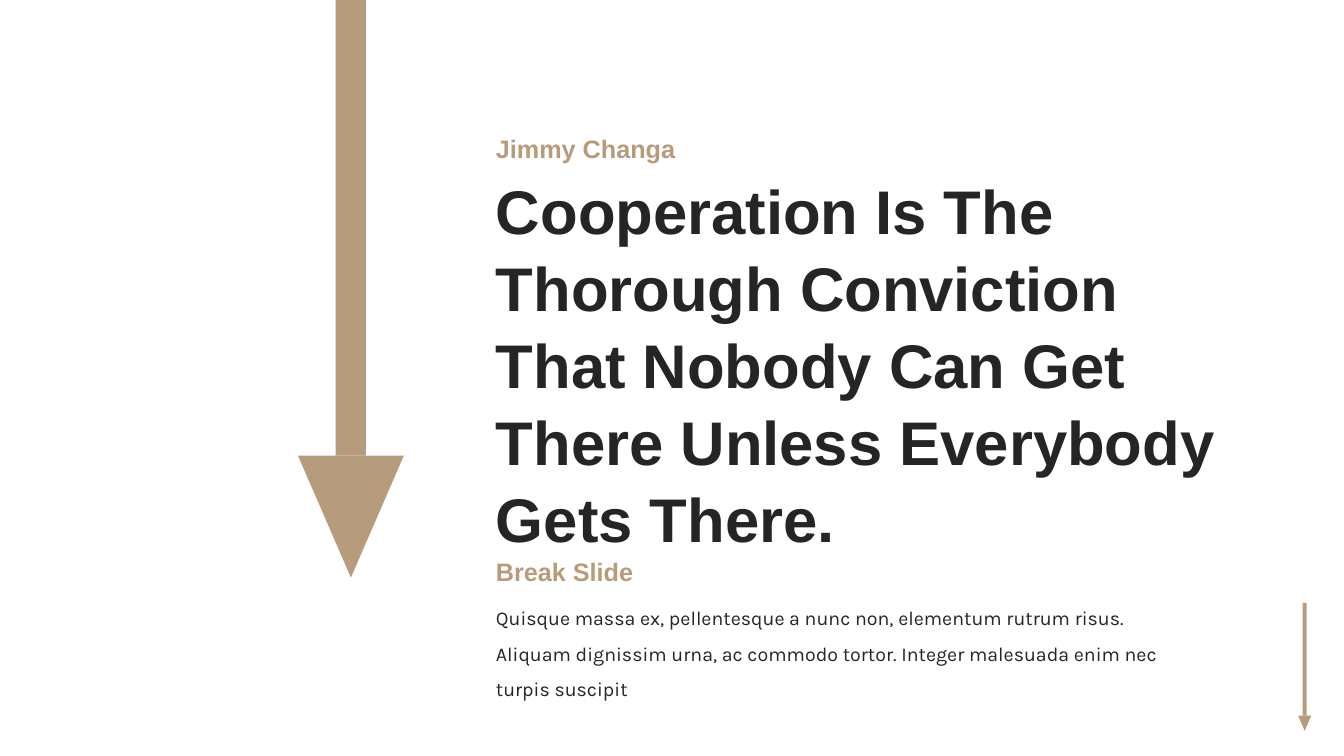
from pptx import Presentation
from pptx.dml.color import RGBColor
from pptx.enum.shapes import MSO_SHAPE
from pptx.enum.text import MSO_ANCHOR, MSO_AUTO_SIZE
from pptx.util import Inches, Pt

TAN = RGBColor(0xB6, 0x9B, 0x7D)
INK = RGBColor(0x24, 0x25, 0x27)

deck = Presentation()
deck.slide_width = Inches(13.33)
deck.slide_height = Inches(7.5)
page = deck.slides.add_slide(deck.slide_layouts[6])


def add_down_arrow(center, top, shaft_width, shaft_height, head_width, head_height):
    shaft = (MSO_SHAPE.RECTANGLE, top, shaft_width, shaft_height, 0)
    head = (MSO_SHAPE.ISOSCELES_TRIANGLE, top + shaft_height, head_width, head_height, 180)
    for kind, y, width, height, rotation in (shaft, head):
        part = page.shapes.add_shape(kind, Inches(center - width / 2), Inches(y),
                                     Inches(width), Inches(height))
        part.rotation = rotation
        part.shadow.inherit = False
        part.fill.solid()
        part.fill.fore_color.rgb = TAN
        part.line.fill.background()


def add_text(top, width, height, lines, size, font, color, bold, spacing):
    box = page.shapes.add_textbox(Inches(4.82), Inches(top), Inches(width), Inches(height))
    frame = box.text_frame
    frame.word_wrap = True
    frame.auto_size = MSO_AUTO_SIZE.SHAPE_TO_FIT_TEXT
    frame.vertical_anchor = MSO_ANCHOR.TOP
    frame.text = "\n".join(lines)
    for para in frame.paragraphs:
        para.line_spacing = spacing
        para.font.size = Pt(size)
        para.font.name = font
        para.font.bold = bold
        para.font.color.rgb = color


add_down_arrow(3.48, 0, 0.3, 4.52, 1.05, 1.21)
add_down_arrow(12.94, 5.98, 0.04, 1.12, 0.13, 0.15)

quote = ["Cooperation Is The", "Thorough Conviction", "That Nobody Can Get",
         "There Unless Everybody", "Gets There."]
body = ("Quisque massa ex, pellentesque a nunc non, elementum rutrum risus. "
        "Aliquam dignissim urna, ac commodo tortor. Integer malesuada enim nec "
        "turpis suscipit")

add_text(1.64, 7.72, 3.8, quote, 44, "Arial", INK, True, 1.04)
add_text(1.26, 2.42, 0.4, ["Jimmy Changa"], 18, "Arial", TAN, True, 1.04)
add_text(5.85, 7.21, 0.77, [body], 14, "Karla", INK, False, 1.5)
add_text(5.46, 2.23, 0.4, ["Break Slide"], 18, "Arial", TAN, True, 1.04)

deck.save("out.pptx")
